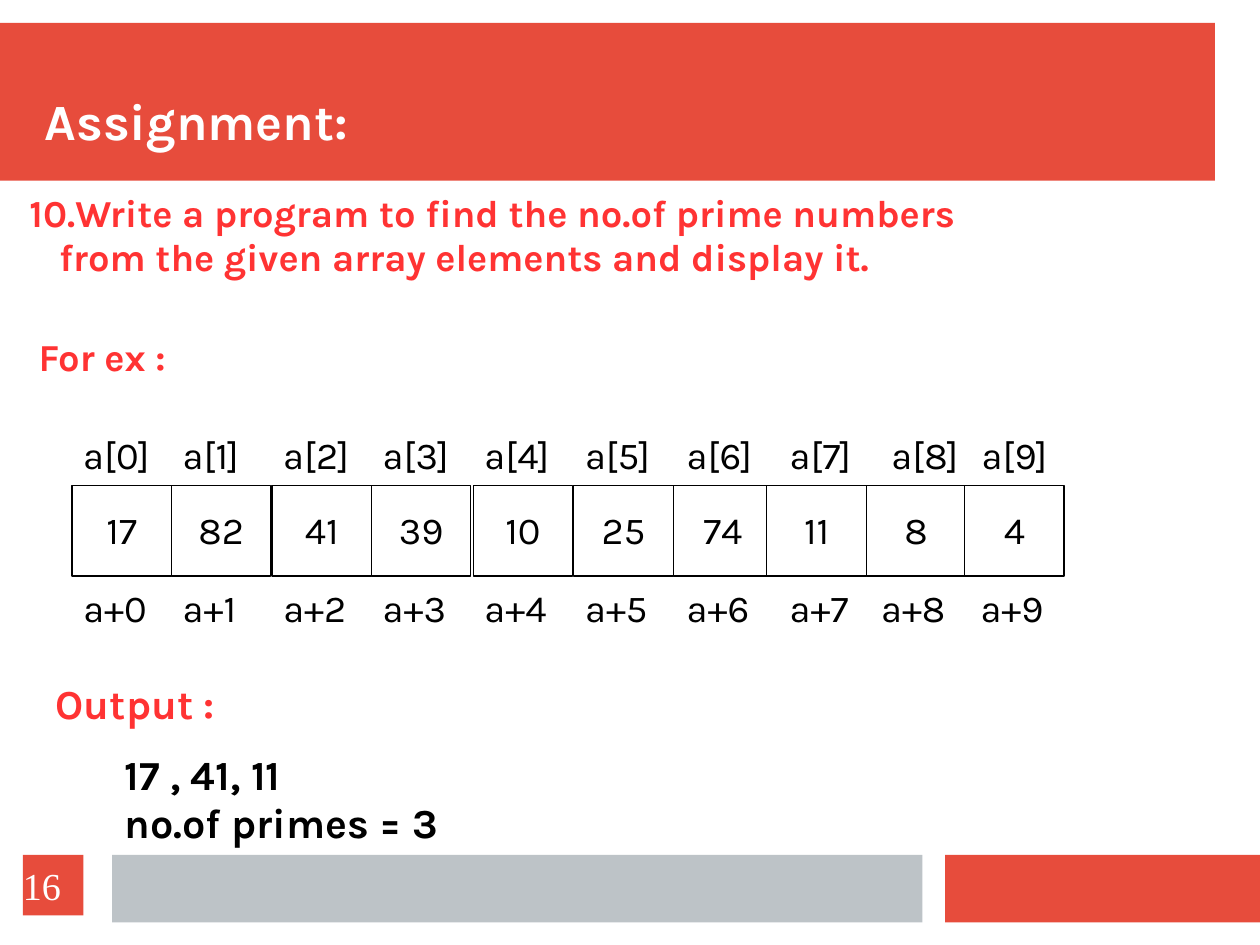
from pptx import Presentation
from pptx.dml.color import RGBColor
from pptx.enum.shapes import MSO_SHAPE
from pptx.enum.text import MSO_ANCHOR, PP_ALIGN
from pptx.util import Inches, Pt

RED, GREY, BRIGHT, BLACK, WHITE = "E74C3C", "BDC3C7", "FF3333", "000000", "FFFFFF"
CM_PER_INCH = 2.54
PADDING = (0.1, 0.05)
VALUES = (17, 82, 41, 39, 10, 25, 74, 11, 8, 4)
CELL_LEFTS = (0, 0.87, 1.75, 2.62, 3.51, 4.39, 5.26, 6.08, 6.95, 7.81)
INDEX_LEFTS = (0, 0.87, 1.75, 2.62, 3.51, 4.39, 5.28, 6.18, 7.07, 7.86)
ADDRESS_LEFTS = (0, 0.87, 1.75, 2.62, 3.51, 4.39, 5.28, 6.18, 6.98, 7.85)


def color(value):
    """Turn a hex string into a colour."""
    return RGBColor.from_string(value)


def write(shape, lines, size, ink, bold=False, font="Karla", padding=PADDING,
          anchor=MSO_ANCHOR.TOP, align=PP_ALIGN.LEFT, spacing=0.97):
    """Fill a shape with one paragraph for each line."""
    frame = shape.text_frame
    across, down = map(Inches, padding)
    frame_format = {"word_wrap": True, "vertical_anchor": anchor,
                    "margin_left": across, "margin_right": across,
                    "margin_top": down, "margin_bottom": down}
    for name, value in frame_format.items():
        setattr(frame, name, value)
    frame.text = "\n".join(lines)
    for paragraph in frame.paragraphs:
        paragraph.alignment = align
        paragraph.line_spacing = spacing
        for run in paragraph.runs:
            for name, value in {"name": font, "size": Pt(size), "bold": bold}.items():
                setattr(run.font, name, value)
            run.font.color.rgb = color(ink)


def add_text(slide, box, lines, size, ink, **style):
    """Place a text box."""
    text = slide.shapes.add_textbox(*map(Inches, box))
    write(text, lines, size, ink, **style)
    return text


def add_block(slide, box, fill, outline=None):
    """Place a filled rectangle, with an outline if a colour is given."""
    block = slide.shapes.add_shape(MSO_SHAPE.RECTANGLE, *map(Inches, box))
    block.shadow.inherit = False
    block.fill.solid()
    block.fill.fore_color.rgb = color(fill)
    if outline:
        block.line.color.rgb = color(outline)
        block.line.width = Pt(0.75)
    else:
        block.line.fill.background()
    return block


def add_header(slide, left, top, width, height):
    """Draw the title band."""
    add_block(slide, (left, top, width, height), RED)
    add_text(slide, (left + 0.39, top + 0.19, 10.19, 0.94), ["Assignment:"], 32, WHITE,
             bold=True, padding=(0, 0), anchor=MSO_ANCHOR.BOTTOM)


def add_question(slide, left, top, width, height):
    """Write the task and the heading of its example."""
    task = add_text(slide, (left, top, width, height),
                    ["10.Write a program to find the no.of prime numbers",
                     "from the given array elements and display it."], 24, BRIGHT, bold=True)
    continuation = task.text_frame.paragraphs[1]
    continuation._p.get_or_add_pPr().set("marL", str(Inches(0.26)))
    add_text(slide, (left + 0.08, top + 1.26, 1.73, 0.5), ["For ex :"], 24, BRIGHT, bold=True)


def add_array(slide, left, top, cell_width, cell_height):
    """Draw the array cells between their indexes and addresses."""
    columns = zip(VALUES, CELL_LEFTS, INDEX_LEFTS, ADDRESS_LEFTS)
    for i, (value, cell_left, index_left, address_left) in enumerate(columns):
        cell = add_block(slide, (left + cell_left, top, cell_width, cell_height), WHITE, BLACK)
        write(cell, [str(value)], 24, BLACK, anchor=MSO_ANCHOR.MIDDLE, align=PP_ALIGN.CENTER)
        add_text(slide, (left + index_left, top - 0.5, cell_width, 0.5),
                 [f"a[{i}]"], 24, BLACK)
        add_text(slide, (left + address_left, top + cell_height + 0.05, cell_width + 0.02, 0.5),
                 [f"a+{i}"], 24, BLACK)


def add_output(slide, left, top, width, height):
    """Write the expected output under its heading."""
    add_text(slide, (left + 0.6, top + 0.62, width - 0.6, height - 0.62),
             ["17 , 41, 11", "no.of primes = 3"], 26, BLACK, bold=True)
    add_text(slide, (left, top, 2.02, 0.53), ["Output :"], 26, BRIGHT, bold=True)


def add_footer(slide, left, top, width, height):
    """Draw the footer bars and the page number."""
    add_block(slide, (left + width - 2.76, top, 2.76, height), RED)
    add_block(slide, (left + 0.78, top, 7.09, height), GREY)
    page = add_block(slide, (left, top, 0.53, 0.53), RED)
    write(page, ["16"], 24, WHITE, font="Times New Roman", padding=(0, 0),
          anchor=MSO_ANCHOR.MIDDLE, spacing=1.0)


def main():
    """Build and save the slide."""
    deck = Presentation()
    deck.slide_width = Inches(28 / CM_PER_INCH)
    deck.slide_height = Inches(21 / CM_PER_INCH)
    slide = deck.slides.add_slide(deck.slide_layouts[6])
    add_header(slide, 0, 0.2, 10.63, 1.38)
    add_question(slide, 0.16, 1.63, 9.56, 0.89)
    add_array(slide, 0.63, 4.25, 0.87, 0.79)
    add_output(slide, 0.39, 5.91, 4.18, 1.57)
    add_footer(slide, 0.2, 7.48, 10.83, 0.59)
    deck.save("out.pptx")


if __name__ == "__main__":
    main()
